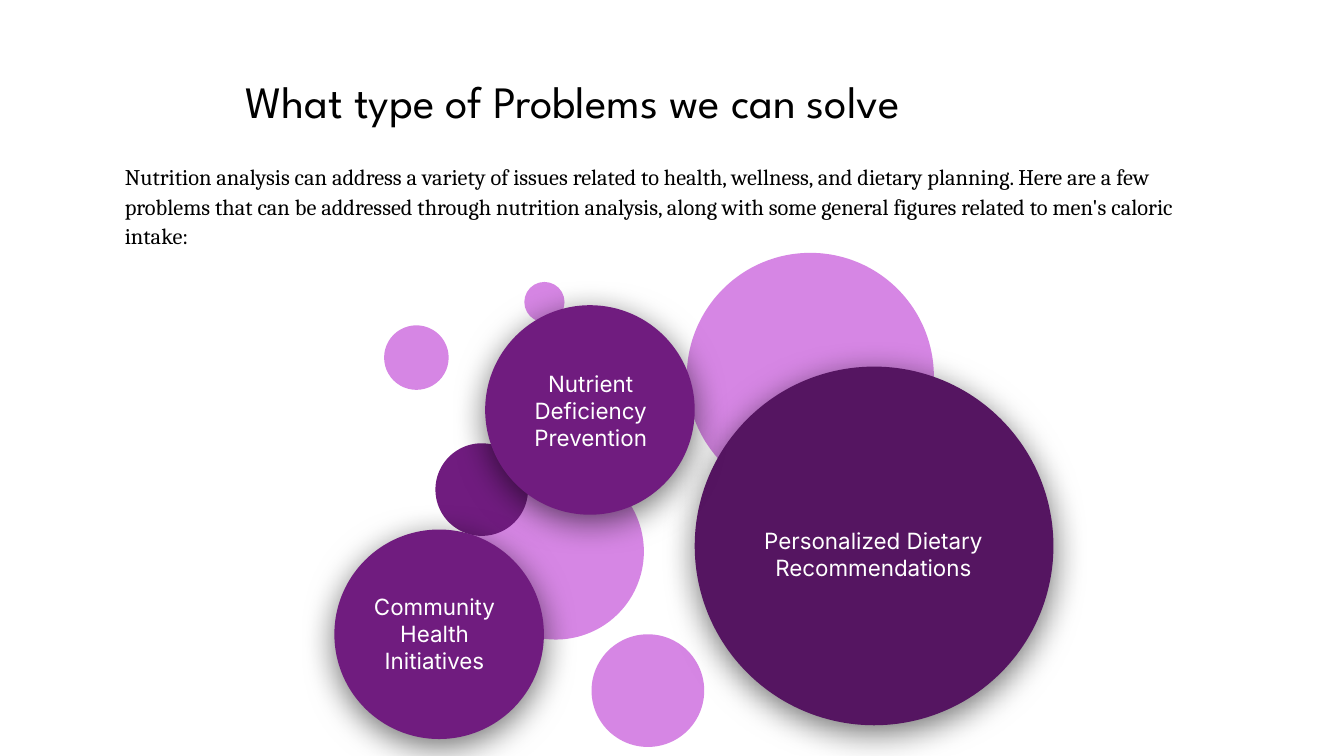
from lxml import etree
from pptx import Presentation
from pptx.dml.color import RGBColor
from pptx.enum.shapes import MSO_SHAPE
from pptx.enum.text import MSO_ANCHOR, PP_ALIGN
from pptx.oxml.ns import qn
from pptx.util import Cm, Pt

COLORS = {
    "black": "000000",
    "white": "FFFFFF",
    "light": "D686E4",
    "purple": "701C7F",
    "dark": "551561",
}

INTRO = (
    "Nutrition analysis can address a variety of issues related to health, wellness, "
    "and dietary planning. Here are a few problems that can be addressed through "
    "nutrition analysis, along with some general figures related to men's caloric intake:"
)

# left, top, diameter, color
BACKGROUND_BUBBLES = [
    (11.18, 11.99, 2.13, "light"),
    (7.26, 6.15, 1.22, "light"),
    (8.84, 8.76, 3.33, "light"),
    (12.98, 4.78, 4.67, "light"),
    (8.23, 8.38, 1.75, "purple"),
    (9.91, 5.33, 0.76, "light"),
]

# bubble (left, top, diameter, color), label, label box (left, top, width, height)
PROBLEMS = [
    ((13.13, 6.93, 6.78, "dark"), "Personalized Dietary Recommendations",
     (13.92, 8.86, 5.18, 3.23)),
    ((9.17, 5.77, 3.96, "purple"), "Nutrient Deficiency Prevention",
     (9.45, 6.45, 3.43, 2.62)),
    ((6.32, 10.01, 3.96, "purple"), "Community Health Initiatives",
     (6.78, 10.67, 2.87, 2.62)),
]


class BubbleSlide:
    heading_font = "League Spartan"
    intro_font = "Cambria"
    label_font = "Inter"
    inset = Cm(0.25)

    def __init__(self, slide):
        self.slide = slide

    def add_text(self, box, text, font, size=12, color="black",
                 align=PP_ALIGN.LEFT, anchor=MSO_ANCHOR.MIDDLE):
        shape = self.slide.shapes.add_textbox(*map(Cm, box))
        frame = shape.text_frame
        frame.word_wrap = True
        frame.vertical_anchor = anchor
        frame.margin_left = frame.margin_right = self.inset
        frame.margin_top = frame.margin_bottom = self.inset
        paragraph = frame.paragraphs[0]
        paragraph.text = text
        paragraph.alignment = align
        paragraph.font.name = font
        paragraph.font.size = Pt(size)
        paragraph.font.color.rgb = RGBColor.from_string(COLORS[color])
        return paragraph

    def add_title(self, box, text):
        self.add_text(box, text, self.heading_font, size=24)

    def add_intro(self, box, text):
        paragraph = self.add_text(box, text, self.intro_font, anchor=MSO_ANCHOR.TOP)
        paragraph.line_spacing = 1.1
        paragraph.space_after = Pt(12)

    def add_bubble(self, left, top, diameter, color):
        shape = self.slide.shapes.add_shape(
            MSO_SHAPE.OVAL, Cm(left), Cm(top), Cm(diameter), Cm(diameter))
        shape.shadow.inherit = False
        shape.fill.solid()
        shape.fill.fore_color.rgb = RGBColor.from_string(COLORS[color])
        shape.line.fill.background()
        return shape

    def add_shadow(self, shape):
        """Give the shape a soft black shadow falling straight down."""
        effects = shape._element.spPr.find(qn("a:effectLst"))
        shadow = etree.SubElement(
            effects, qn("a:outerShdw"), blurRad=str(Pt(18)), dist=str(Pt(4)),
            dir="5400000", algn="bl", rotWithShape="0")
        color = etree.SubElement(shadow, qn("a:srgbClr"), val=COLORS["black"])
        etree.SubElement(color, qn("a:alpha"), val="55000")

    def add_problem(self, bubble, label, label_box):
        self.add_shadow(self.add_bubble(*bubble))
        self.add_text(label_box, label, self.label_font, color="white",
                      align=PP_ALIGN.CENTER)


def main():
    presentation = Presentation()
    presentation.slide_width = Cm(25.4)
    presentation.slide_height = Cm(14.29)
    slide = BubbleSlide(presentation.slides.add_slide(presentation.slide_layouts[6]))

    slide.add_title((4.39, 1.02, 14.55, 1.78), "What type of Problems we can solve")
    slide.add_intro((2.11, 2.79, 21.16, 2.11), INTRO)
    for bubble in BACKGROUND_BUBBLES:
        slide.add_bubble(*bubble)
    for problem in PROBLEMS:
        slide.add_problem(*problem)

    presentation.save("out.pptx")


if __name__ == "__main__":
    main()
